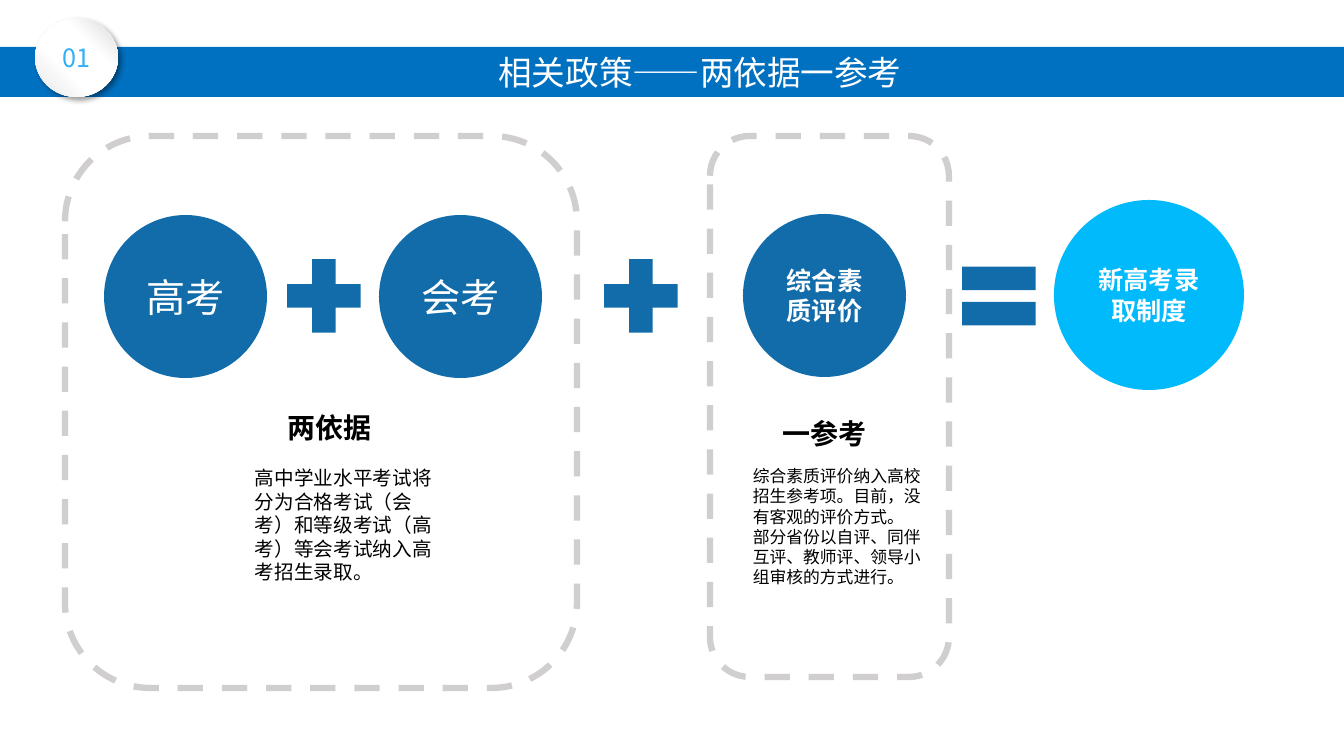
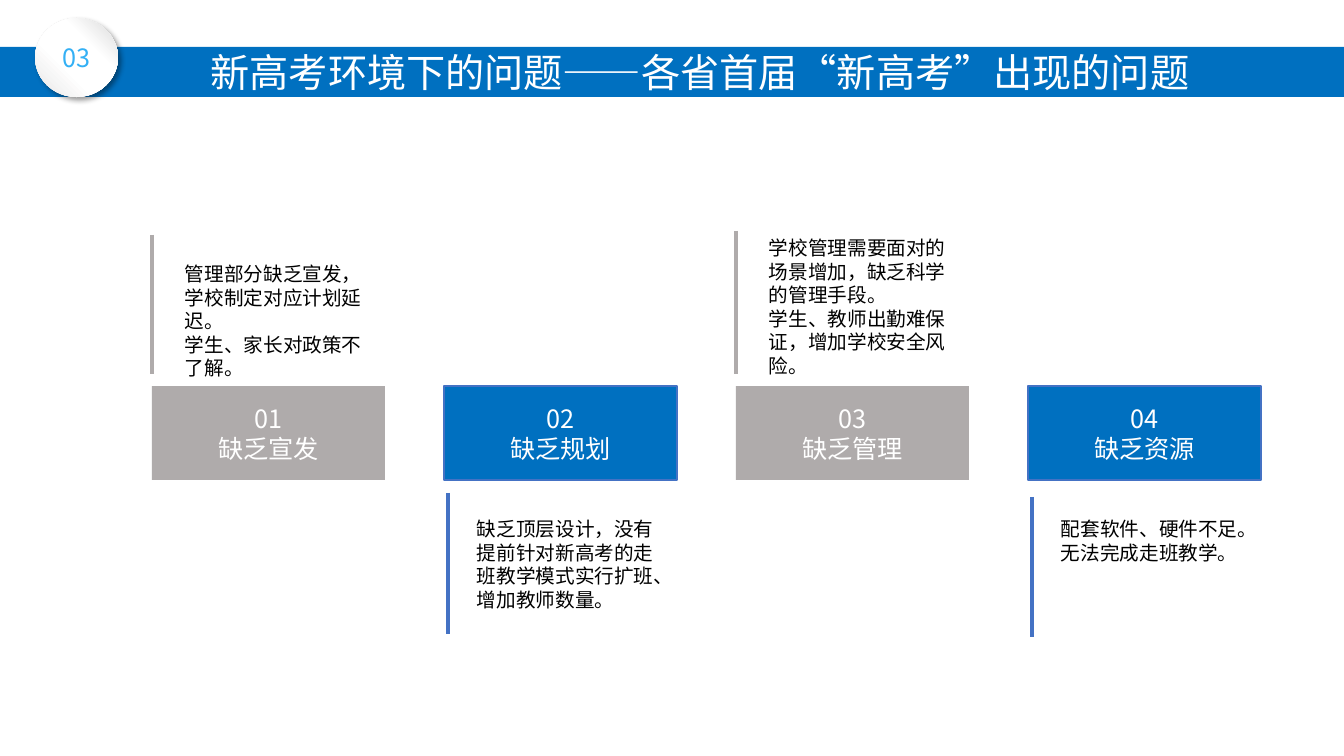
import pptx
import pptx.util
import pptx.dml.color
import pptx.enum.dml
import pptx.enum.shapes
import pptx.enum.text
import pptx.oxml.ns
from lxml import etree

PX = 914400 / 100.8
SLIDE_W, SLIDE_H = 1344, 756
FONT = "Noto Sans CJK SC"
BLUE, DEEP, SKY, LINE_BLUE = "0070C0", "126CAA", "00BAFB", "4472C4"
GREY, PALE, WHITE, BLACK, BADGE = "AFABAB", "D0CECE", "FFFFFF", "000000", "33B0F5"
BADGE_STOPS = [(0, "E7E6E6"), (38, WHITE), (66, WHITE), (100, "D9D9D9")]

SHAPE = pptx.enum.shapes.MSO_SHAPE
ALIGN = pptx.enum.text.PP_ALIGN
ANCHOR = pptx.enum.text.MSO_ANCHOR
AUTO = pptx.enum.text.MSO_AUTO_SIZE
qn = pptx.oxml.ns.qn

# Policy slide: text, box, colour, size, bold
CIRCLES = [
    ("高考", (104, 215, 163, 163), DEEP, 28, False),
    ("会考", (379, 215, 163, 163), DEEP, 28, False),
    ("综合素质评价", (743, 214, 163, 163), DEEP, 18, True),
    ("新高考录取制度", (1054, 200, 190, 190), SKY, 18, True),
]
OPERATORS = [
    (SHAPE.MATH_PLUS, 274),
    (SHAPE.MATH_PLUS, 591),
    (SHAPE.MATH_EQUAL, 949),
]
FRAMES = [(65, 136, 512, 552), (710, 136, 239, 541)]
POLICY_TEXTS = [
    (["两依据"], (278, 406, 105, 44), dict(size=20, bold=True, wrap=False)),
    (["一参考"], (773, 412, 111, 44), dict(size=20, bold=True)),
    (["高中学业水平考试将分为合格考试（会考）和等级考试（高考）等会考试纳入高考招生录取。"],
     (245, 461, 216, 129), dict(size=14)),
    (["综合素质评价纳入高校招生参考项。目前，没有客观的评价方式。",
      "部分省份以自评、同伴互评、教师评、领导小组审核的方式进行。"],
     (743, 461, 199, 132), dict(size=12)),
]

# Problem slide: label, details, detail top and height, rule offset, top and bottom
PROBLEMS = [
    ("缺乏宣发", ["管理部分缺乏宣发，学校制定对应计划延迟。", "学生、家长对政策不了解。"],
     (257, 129), (0, 235, 374)),
    ("缺乏规划", ["缺乏顶层设计，没有提前针对新高考的走班教学模式实行扩班、增加教师数量。"],
     (512, 105), (4, 493, 634)),
    ("缺乏管理", ["学校管理需要面对的场景增加，缺乏科学的管理手段。",
              "学生、教师出勤难保证，增加学校安全风险。"],
     (231, 152), (0, 231, 374)),
    ("缺乏资源", ["配套软件、硬件不足。", "无法完成走班教学。"],
     (512, 57), (4, 497, 637)),
]
COLUMN_X, COLUMN_STEP, CARD_Y, CARD_W, CARD_H = 152, 292, 386, 233, 94
DETAIL_INDENT, DETAIL_W = 23, 210


def px(n):
    return pptx.util.Emu(round(n * PX))


def rgb(value):
    return pptx.dml.color.RGBColor.from_string(value)


def write(tf, lines, size=14, color=BLACK, bold=False, font=FONT,
          align=ALIGN.LEFT, anchor=ANCHOR.TOP, wrap=True, auto=AUTO.NONE):
    tf.word_wrap = wrap
    tf.auto_size = auto
    tf.vertical_anchor = anchor
    for i, line in enumerate(lines):
        p = tf.paragraphs[0] if i == 0 else tf.add_paragraph()
        p.alignment = align
        r = p.add_run()
        r.text = line
        r.font.size = pptx.util.Pt(size)
        r.font.bold = bold
        r.font.name = font
        r.font.color.rgb = rgb(color)
        etree.SubElement(r.font._element, qn("a:ea"), typeface=FONT)


def add_shape(s, kind, box, fill=None, line=None, width=1, lines=(), **fmt):
    sp = s.shapes.add_shape(kind, *map(px, box))
    sp.shadow.inherit = False
    if fill:
        sp.fill.solid()
        sp.fill.fore_color.rgb = rgb(fill)
    else:
        sp.fill.background()
    if line:
        sp.line.color.rgb = rgb(line)
        sp.line.width = pptx.util.Pt(width)
    else:
        sp.line.fill.background()
    if lines:
        write(sp.text_frame, lines, **{"color": WHITE, "align": ALIGN.CENTER,
                                       "anchor": ANCHOR.MIDDLE, **fmt})
    return sp


def add_text(s, lines, box, **fmt):
    sp = s.shapes.add_textbox(*map(px, box))
    write(sp.text_frame, lines, auto=AUTO.SHAPE_TO_FIT_TEXT, **fmt)


def add_rule(s, x, top, bottom, color):
    sp = s.shapes.add_connector(pptx.enum.shapes.MSO_CONNECTOR.STRAIGHT,
                                px(x), px(top), px(x), px(bottom))
    sp.line.color.rgb = rgb(color)
    sp.line.width = pptx.util.Pt(3)
    etree.SubElement(sp._element.spPr, qn("a:effectLst"))


def add_color(parent, value):
    return etree.SubElement(parent, qn("a:srgbClr"), val=value)


def add_badge(s, number):
    sp = add_shape(s, SHAPE.OVAL, (35, 18, 83, 79), fill=WHITE,
                   lines=[number], size=18, color=BADGE)
    sp.fill.gradient()
    sp.fill.gradient_angle = 45
    spPr = sp._element.spPr
    stops = spPr.find(".//" + qn("a:gsLst"))
    for stop in list(stops):
        stops.remove(stop)
    for pos, color in BADGE_STOPS:
        add_color(etree.SubElement(stops, qn("a:gs"), pos=str(pos * 1000)), color)
    shadow = etree.SubElement(spPr.find(qn("a:effectLst")), qn("a:outerShdw"),
                              blurRad=str(pptx.util.Pt(4)), dist=str(pptx.util.Pt(3)),
                              dir="2700000", algn="tl", rotWithShape="0")
    etree.SubElement(add_color(shadow, BLACK), qn("a:alpha"), val="40000")


def add_slide(prs, number, title, size):
    """Add a slide with the title band and its number badge."""
    s = prs.slides.add_slide(prs.slide_layouts[5])
    sp = s.shapes.title
    sp.left, sp.top, sp.width, sp.height = map(px, (0, 47, SLIDE_W, 50))
    sp.fill.solid()
    sp.fill.fore_color.rgb = rgb(BLUE)
    tf = sp.text_frame
    tf.margin_left, tf.margin_right = px(56), 0
    write(tf, [title], size=size, color=WHITE, align=ALIGN.CENTER, anchor=ANCHOR.MIDDLE)
    add_badge(s, number)
    return s


def build_policy(prs):
    s = add_slide(prs, "01", "相关政策——两依据一参考", 24)
    for text, box, fill, size, bold in CIRCLES:
        add_shape(s, SHAPE.OVAL, box, fill=fill, lines=[text],
                  size=size, bold=bold, font="Arial")
    for kind, x in OPERATORS:
        add_shape(s, kind, (x, 246, 100, 100), fill=DEEP)
    for box in FRAMES:
        sp = add_shape(s, SHAPE.ROUNDED_RECTANGLE, box, line=PALE, width=4.5)
        sp.line.dash_style = pptx.enum.dml.MSO_LINE.DASH
    for lines, box, fmt in POLICY_TEXTS:
        add_text(s, lines, box, **fmt)


def build_problems(prs):
    s = add_slide(prs, "03", "新高考环境下的问题——各省首届“新高考”出现的问题", 28)
    for i, (label, details, (y, h), (offset, top, bottom)) in enumerate(PROBLEMS):
        x = COLUMN_X + i * COLUMN_STEP
        fill, line, rule = (BLUE, LINE_BLUE, LINE_BLUE) if i % 2 else (GREY, None, GREY)
        add_shape(s, SHAPE.RECTANGLE, (x, CARD_Y, CARD_W, CARD_H), fill=fill,
                  line=line, lines=[f"{i + 1:02d}", label], size=18)
        add_rule(s, x + offset, top, bottom, rule)
        add_text(s, details, (x + DETAIL_INDENT, y, DETAIL_W, h))


def main():
    prs = pptx.Presentation()
    prs.slide_width, prs.slide_height = px(SLIDE_W), px(SLIDE_H)
    build_policy(prs)
    build_problems(prs)
    prs.save("out.pptx")


if __name__ == "__main__":
    main()
